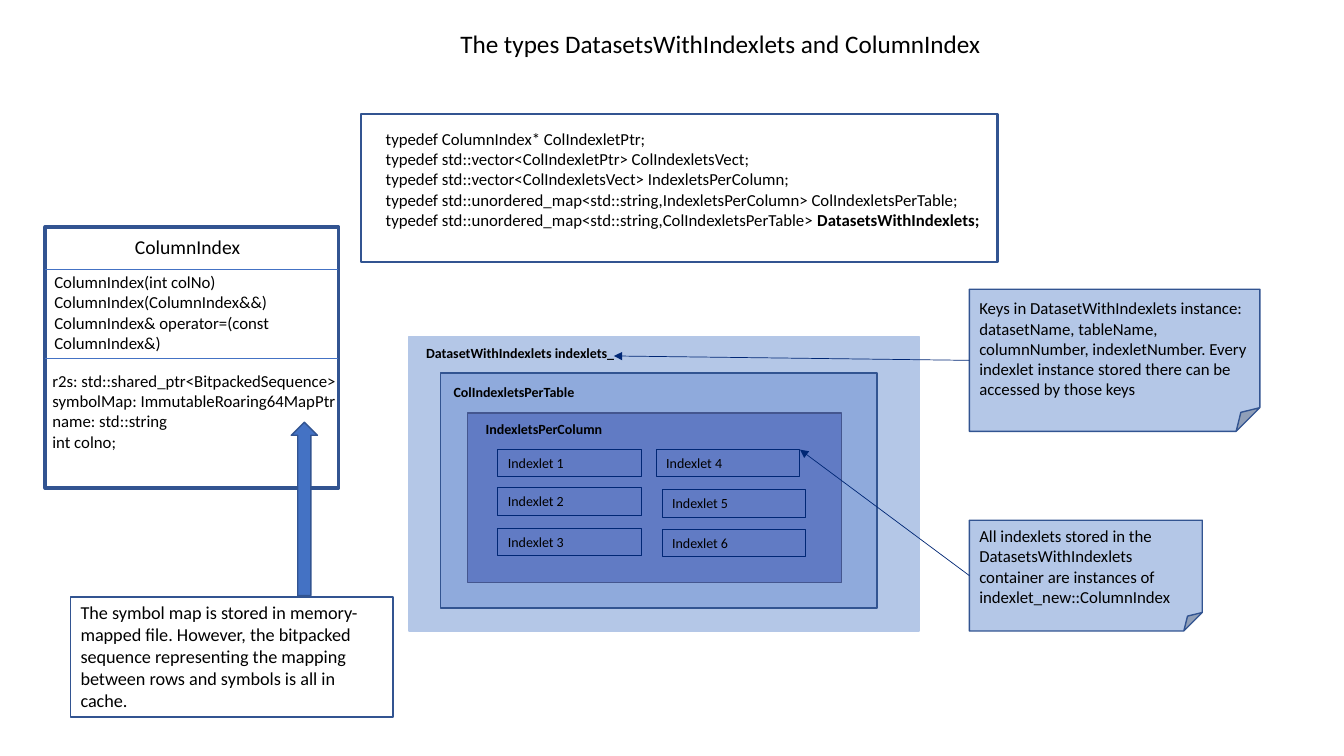
from dataclasses import dataclass

from lxml.etree import SubElement
from pptx import Presentation
from pptx.dml.color import RGBColor
from pptx.enum.shapes import MSO_CONNECTOR as Connector, MSO_SHAPE as Preset
from pptx.enum.text import MSO_ANCHOR as Anchor, PP_ALIGN as Align
from pptx.oxml.ns import qn
from pptx.util import Cm, Pt


@dataclass(frozen=True)
class Theme:
    """Font, colours and type sizes of the slide."""
    font: str = "Calibri"
    ink: str = "000000"
    border: str = "325491"
    accent: str = "4472C4"
    navy: str = "002775"
    pale: str = "B4C7E7"
    mid: str = "8FAADC"
    deep: str = "617BC4"
    deep_border: str = "44568F"
    title: int = 18
    heading: int = 14
    remark: int = 13
    body: int = 12
    label: int = 10


theme = Theme()

# Boxes are (left, top, width, height) in centimetres.
title = ("The types DatasetsWithIndexlets and ColumnIndex", (11.35, 0.58, 13.92, 1.02))

typedef_frame = (9.09, 2.87, 16.05, 3.73)
typedef_box = (9.47, 3.12, 15.9, 3.58)
defined_type = "DatasetsWithIndexlets;"
typedefs = [
    "typedef ColumnIndex* ColIndexletPtr;",
    "typedef std::vector<ColIndexletPtr> ColIndexletsVect;",
    "typedef std::vector<ColIndexletsVect> IndexletsPerColumn;",
    "typedef std::unordered_map<std::string,IndexletsPerColumn> ColIndexletsPerTable;",
    "typedef std::unordered_map<std::string,ColIndexletsPerTable> ",
]

# Container: label, label corner, box, fill, border
containers = [
    ("DatasetWithIndexlets indexlets_", (10.49, 8.56), (10.31, 8.48, 12.85, 7.42),
     theme.pale, theme.pale),
    ("ColIndexletsPerTable", (11.18, 9.55), (11.1, 9.4, 11, 5.92),
     theme.mid, theme.border),
    ("IndexletsPerColumn", (11.99, 10.46), (11.79, 10.41, 9.42, 4.27),
     theme.deep, theme.deep_border),
]
container_label_size = (6.38, 0.69)

indexlet_size = (3.61, 0.69)
indexlet_corners = [
    (12.55, 11.33), (12.55, 12.29), (12.55, 13.31),
    (16.54, 11.33), (16.69, 12.34), (16.69, 13.34),
]

# Note: text, box, point its arrow leads to
notes = [
    ("All indexlets stored in the DatasetsWithIndexlets container are instances of "
     "indexlet_new::ColumnIndex", (24.43, 13.11, 5.87, 2.79), (20.16, 11.33)),
    ("Keys in DatasetWithIndexlets instance: datasetName, tableName, columnNumber, "
     "indexletNumber. Every indexlet instance stored there can be accessed by those keys",
     (24.43, 7.29, 7.32, 3.58), (15.47, 8.97)),
]

class_box = (1.14, 5.72, 7.39, 6.58)
class_dividers = [6.78, 9.02]
class_parts = [
    (["ColumnIndex"], (3.15, 5.79, 5.36, 0.86), theme.heading),
    (["ColumnIndex(int colNo)", "ColumnIndex(ColumnIndex&&)",
      "ColumnIndex& operator=(const ColumnIndex&)"], (1.12, 6.73, 6.45, 2.31), theme.body),
    (["r2s: std::shared_ptr<BitpackedSequence>", "symbolMap: ImmutableRoaring64MapPtr",
      "name: std::string", "int colno;"], (1.07, 9.22, 7.95, 2.31), theme.body),
]
remark_arrow = (7.34, 10.64, 0.66, 4.37)
remark = ("The symbol map is stored in memory-mapped file. However, the bitpacked sequence "
          "representing the mapping between rows and symbols is all in cache.",
          (1.78, 15.04, 8.13, 3.02))


def cm(lengths):
    """Turn plain numbers into centimetre lengths."""
    return [Cm(length) for length in lengths]


def style(run, size, bold=False):
    """Give a run the theme's font and ink."""
    run.font.name, run.font.size, run.font.bold = theme.font, Pt(size), bold
    run.font.color.rgb = RGBColor.from_string(theme.ink)


def write(frame, lines, size, bold=False, wrap=True, anchor=Anchor.TOP):
    """Fill a text frame with left-aligned paragraphs."""
    frame.text = "\n".join(lines)
    frame.word_wrap, frame.vertical_anchor = wrap, anchor
    for paragraph in frame.paragraphs:
        paragraph.alignment = Align.LEFT
        for run in paragraph.runs:
            style(run, size, bold)


def add_text(box, lines, size, **options):
    """Add a text box and return its frame."""
    frame = slide.shapes.add_textbox(*cm(box)).text_frame
    write(frame, lines, size, **options)
    return frame


def add_box(box, border, width=1, fill=None, preset=Preset.RECTANGLE):
    """Add a flat outlined shape, filled when a colour is given."""
    shape = slide.shapes.add_shape(preset, *cm(box))
    shape.shadow.inherit = False
    shape.line.color.rgb = RGBColor.from_string(border)
    shape.line.width = Pt(width)
    if fill:
        shape.fill.solid()
        shape.fill.fore_color.rgb = RGBColor.from_string(fill)
    else:
        shape.fill.background()
    return shape


def add_line(start, end, colour, arrow=False):
    """Add a thin straight line, with an arrowhead at its end on request."""
    line = slide.shapes.add_connector(Connector.STRAIGHT, *cm(start + end))
    line.line.color.rgb = RGBColor.from_string(colour)
    line.line.width = Pt(0.5)
    if arrow:
        SubElement(line.line._get_or_add_ln(), qn("a:tailEnd"), type="triangle")
    SubElement(line._element.spPr, qn("a:effectLst"))


def add_typedefs():
    """Draw the framed list of type definitions."""
    frame = add_text(typedef_box, typedefs, theme.body)
    bold_name = frame.paragraphs[-1].add_run()
    bold_name.text = defined_type
    style(bold_name, theme.body, bold=True)
    add_box(typedef_frame, theme.border, 1.5)


def add_containers():
    """Draw the nested containers and the indexlets inside."""
    for label, corner, box, fill, border in containers:
        add_box(box, border, fill=fill)
        add_text(corner + container_label_size, [label], theme.label, bold=True)
    for number, corner in enumerate(indexlet_corners, 1):
        indexlet = add_box(corner + indexlet_size, theme.navy, 0.75)
        write(indexlet.text_frame, [f"Indexlet {number}"], theme.label)


def add_notes():
    """Draw the folded notes, each with an arrow from its left middle."""
    for text, box, target in notes:
        note = add_box(box, theme.border, fill=theme.pale, preset=Preset.FOLDED_CORNER)
        write(note.text_frame, [text], theme.body, anchor=Anchor.MIDDLE)
        left, top, _, height = box
        add_line((left, top + height / 2), target, theme.navy, arrow=True)


def add_class():
    """Draw the class diagram and the remark pointing at it."""
    add_box(class_box, theme.border, 2.5)
    left, _, width, _ = class_box
    for y in class_dividers:
        add_line((left, y), (left + width, y), theme.accent)
    for lines, box, size in class_parts:
        add_text(box, lines, size)
    add_box(remark_arrow, theme.border, fill=theme.accent, preset=Preset.UP_ARROW)
    text, box = remark
    write(add_box(box, theme.border, 1.25).text_frame, [text], theme.remark)


deck = Presentation()
deck.slide_width, deck.slide_height = Cm(33.87), Cm(19.05)
slide = deck.slides.add_slide(deck.slide_layouts[6])
title_text, title_box = title
add_text(title_box, [title_text], theme.title, wrap=False)
add_typedefs()
add_containers()
add_notes()
add_class()
deck.save("out.pptx")
